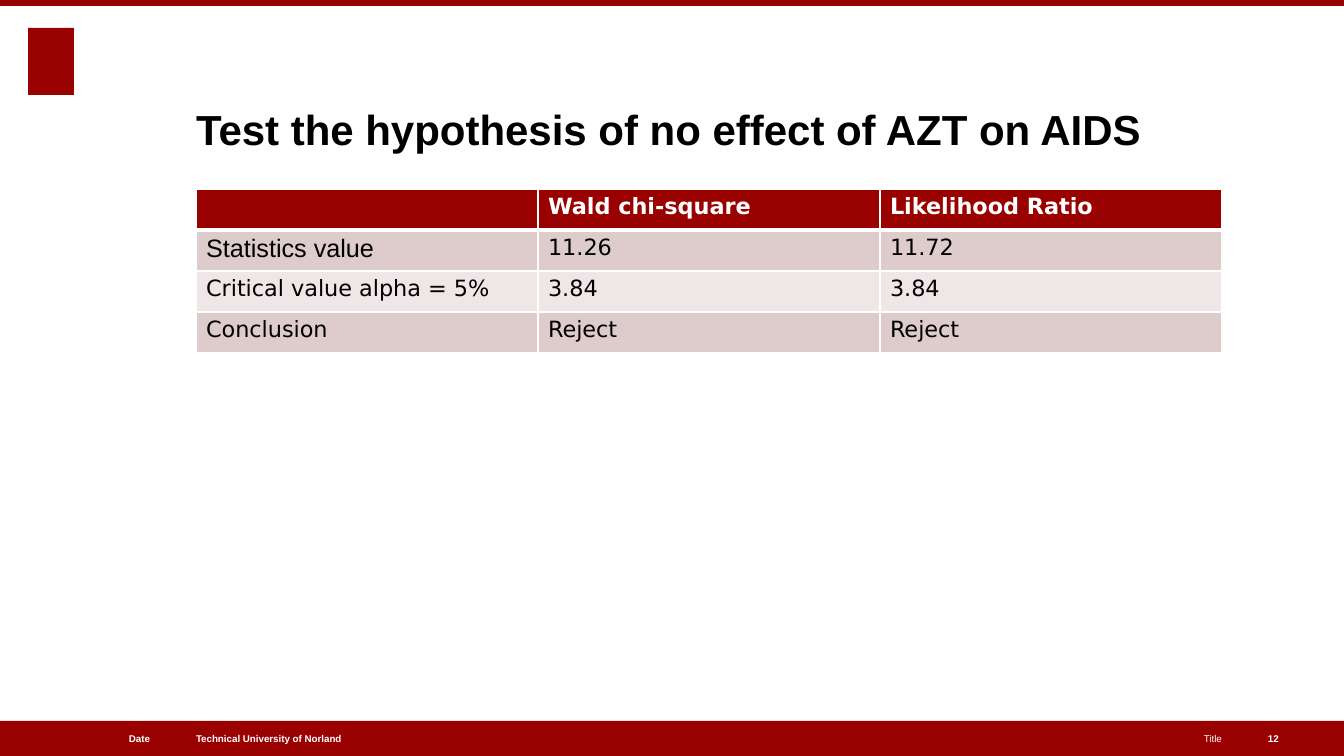
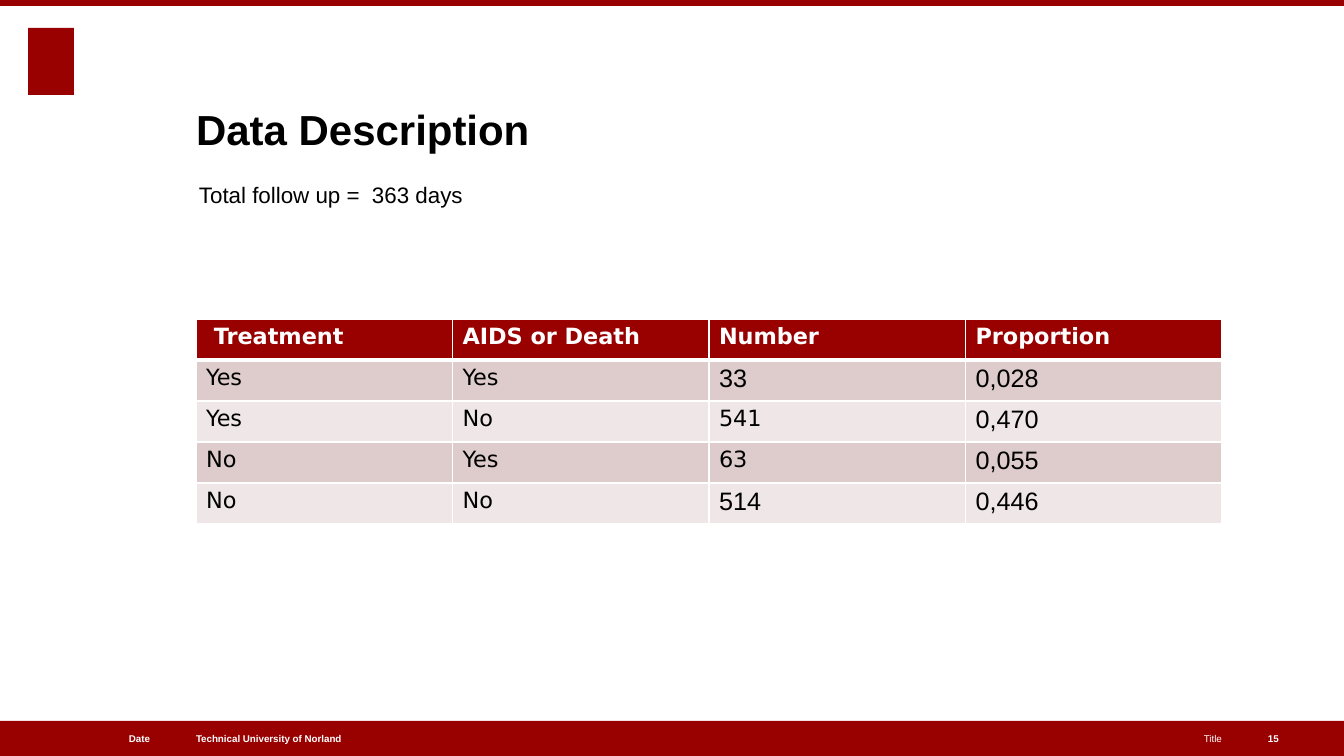
from pptx import Presentation
from pptx.dml.color import RGBColor
from pptx.enum.shapes import MSO_SHAPE
from pptx.enum.text import MSO_ANCHOR, MSO_AUTO_SIZE, PP_ALIGN
from pptx.oxml.ns import qn
from pptx.util import Emu, Pt
from lxml import etree

RECTANGLE = MSO_SHAPE.RECTANGLE
TOP, MIDDLE, BOTTOM = MSO_ANCHOR.TOP, MSO_ANCHOR.MIDDLE, MSO_ANCHOR.BOTTOM
LEFT, RIGHT = PP_ALIGN.LEFT, PP_ALIGN.RIGHT
NO_AUTOFIT = MSO_AUTO_SIZE.NONE

# Shared look
RED, WHITE, BLACK = "990000", "FFFFFF", "000000"
ROW_TINTS = ("DECCCC", "EFE7E7")
ARIAL, DEJAVU = "Arial", "DejaVu Sans"
SLIDE_W, SLIDE_H = 1344, 756
EMU_PER_PX = 914400 / 100.8
CONTENT_X, CONTENT_W = 196, 1026
ROW_H = 41
TITLE_BOX = (CONTENT_X, 47, CONTENT_W, 107)
FOOTER_Y, FOOTER_H = 721, 35
BANDS = [
    (0, FOOTER_Y, SLIDE_W, FOOTER_H),
    (0, 0, SLIDE_W, 6),
    (28, 28, 46, 67),  # plain emblem block
]
ORGANISATION = "Technical University of Norland"

# Content; "arial" lists the (row, column) cells set in larger Arial
SLIDES = [
    {
        "title": "Test the hypothesis of no effect of AZT on AIDS",
        "number": "12",
        "table_y": 189,
        "rows": [
            ("", "Wald chi-square", "Likelihood Ratio"),
            ("Statistics value", "11.26", "11.72"),
            ("Critical value alpha = 5%", "3.84", "3.84"),
            ("Conclusion", "Reject", "Reject"),
        ],
        "arial": {(1, 0)},
    },
    {
        "title": "Data Description",
        "number": "15",
        "note": "Total follow up =  363 days",
        "table_y": 319,
        "rows": [
            (" Treatment", "AIDS or Death", "Number", "Proportion"),
            ("Yes", "Yes", "33", "0,028"),
            ("Yes", "No", "541", "0,470"),
            ("No", "Yes", "63", "0,055"),
            ("No", "No", "514", "0,446"),
        ],
        "arial": {(1, 2), (1, 3), (2, 3), (3, 3), (4, 2), (4, 3)},
    },
]


def px(length):
    return Emu(round(length * EMU_PER_PX))


def rgb(color):
    return RGBColor.from_string(color)


def style(paragraph, size, color, bold=False, font=ARIAL, align=LEFT):
    paragraph.alignment = align
    paragraph.font.size = Pt(size)
    paragraph.font.name = font
    paragraph.font.bold = bold
    paragraph.font.color.rgb = rgb(color)


def fill_frame(frame, text, anchor):
    frame.margin_left = frame.margin_right = 0
    frame.margin_top = frame.margin_bottom = 0
    frame.word_wrap = True
    frame.auto_size = NO_AUTOFIT
    frame.vertical_anchor = anchor
    frame.text = text
    return frame.paragraphs[0]


def add_label(slide, box, text, size, color, anchor=MIDDLE, **look):
    label = slide.shapes.add_textbox(*map(px, box))
    paragraph = fill_frame(label.text_frame, text, anchor)
    style(paragraph, size, color, **look)
    return label


def add_footer(slide, x, width, text, bold=True, align=LEFT):
    box = (x, FOOTER_Y, width, FOOTER_H)
    return add_label(slide, box, text, 7, WHITE, bold=bold, align=align)


def build_layout(layout, slide):
    """Draw the bands and organisation once, then hand them to the layout."""
    for placeholder in list(layout.placeholders)[1:]:
        layout.shapes.element.remove(placeholder.element)
    parts = []
    for box in BANDS:
        band = slide.shapes.add_shape(RECTANGLE, *map(px, box))
        band.shadow.inherit = False
        band.fill.solid()
        band.fill.fore_color.rgb = rgb(RED)
        band.line.fill.background()
        parts.append(band)
    parts.append(add_footer(slide, CONTENT_X, 375, ORGANISATION))
    for part in parts:
        layout.shapes.element.append(part.element)


def add_title(slide, text):
    title = slide.shapes.title
    title.left, title.top, title.width, title.height = map(px, TITLE_BOX)
    style(fill_frame(title.text_frame, text, BOTTOM), 30, BLACK, bold=True)


def set_borders(cell, row):
    """White rules, with a heavier one under the header row."""
    widths = {"a:lnL": 1, "a:lnR": 1, "a:lnT": 3 if row == 1 else 1,
              "a:lnB": 3 if row == 0 else 1}
    properties = cell._tc.get_or_add_tcPr()
    for side, width in widths.items():
        line = etree.SubElement(properties, qn(side), w=str(Pt(width)))
        solid = etree.SubElement(line, qn("a:solidFill"))
        etree.SubElement(solid, qn("a:srgbClr"), val=WHITE)


def add_data_table(slide, rows, y, arial):
    box = (CONTENT_X, y, CONTENT_W, ROW_H * len(rows))
    table = slide.shapes.add_table(len(rows), len(rows[0]), *map(px, box)).table
    for r, values in enumerate(rows):
        header = r == 0
        for c, value in enumerate(values):
            cell = table.cell(r, c)
            set_borders(cell, r)
            cell.fill.solid()
            cell.fill.fore_color.rgb = rgb(RED if header else ROW_TINTS[(r - 1) % 2])
            cell.text = value
            size, font = (18, ARIAL) if (r, c) in arial else (16, DEJAVU)
            style(cell.text_frame.paragraphs[0], size,
                  WHITE if header else BLACK, bold=header, font=font)


def main():
    deck = Presentation()
    deck.slide_width, deck.slide_height = px(SLIDE_W), px(SLIDE_H)
    layout = deck.slide_layouts.get_by_name("Title Only")
    for index, content in enumerate(SLIDES):
        slide = deck.slides.add_slide(layout)
        if index == 0:
            build_layout(layout, slide)
        add_title(slide, content["title"])
        add_data_table(slide, content["rows"], content["table_y"], content["arial"])
        add_footer(slide, 28, 122, "Date", align=RIGHT)
        add_footer(slide, 616, 606, "Title", bold=False, align=RIGHT)
        add_footer(slide, 1268, 47, content["number"])
        if "note" in content:
            note = add_label(slide, (199, 181, 1007, 59), content["note"],
                             16, BLACK, anchor=TOP)
            note.text_frame.paragraphs[0].space_before = Pt(4.3)
    deck.save("out.pptx")


if __name__ == "__main__":
    main()
